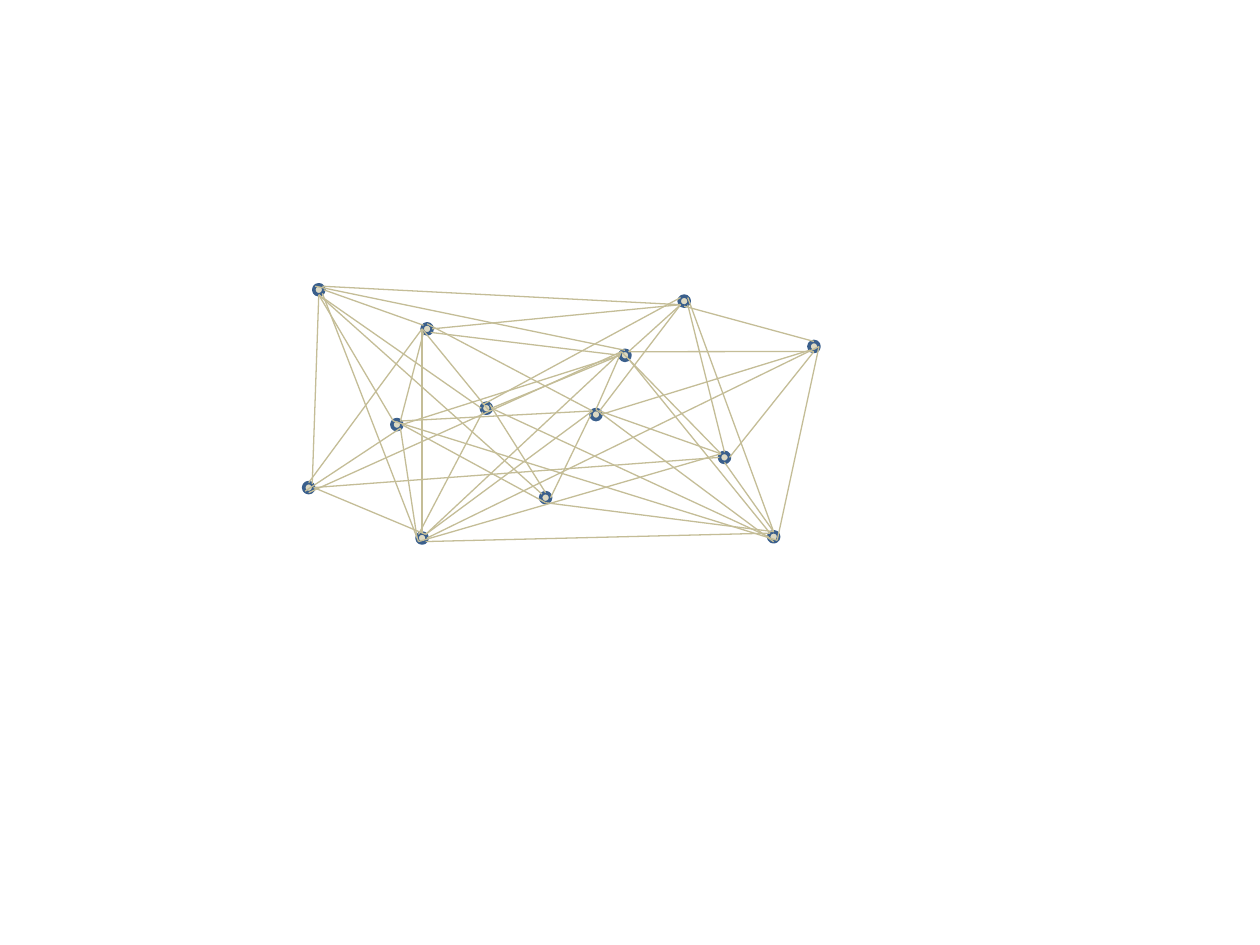
from dataclasses import dataclass
from math import cos, radians, sin

from lxml import etree
from pptx import Presentation
from pptx.dml.color import RGBColor
from pptx.enum.shapes import MSO_CONNECTOR, MSO_SHAPE
from pptx.oxml.ns import qn
from pptx.util import Inches, Pt

DOT = MSO_SHAPE.FLOWCHART_CONNECTOR
STRAIGHT = MSO_CONNECTOR.STRAIGHT
BLANK_LAYOUT = 6


@dataclass(frozen=True)
class Theme:
    node_fill: RGBColor = RGBColor.from_string("DDD9C3")
    node_line: RGBColor = RGBColor.from_string("3A5F8C")
    edge_line: RGBColor = RGBColor.from_string("C4BD97")
    node_width: float = 2
    edge_width: float = 0.75
    diameter: float = 0.08


THEME = Theme()

# Centre of each node, in inches
NODES = {
    "A": (3.39, 2.61), "B": (2.53, 2.30), "C": (2.45, 3.87),
    "D": (3.35, 4.27), "E": (4.73, 3.29), "F": (3.15, 3.37),
    "G": (4.33, 3.95), "H": (4.96, 2.82), "I": (3.86, 3.24),
    "J": (5.75, 3.63), "K": (5.43, 2.39), "L": (6.46, 2.75),
    "M": (6.14, 4.26),
}

# Compass points on a node's rim, clockwise from east
PORTS = {name: radians(45 * i)
         for i, name in enumerate("e se s sw w nw n ne".split())}

# Each edge joins two ends, written as node and compass point
EDGES = """
Be-Anw Ase-Hw Bs-Iw Ie-Hw Ae-Ksw Bse-Dsw Bs-Fnw Bs-Cne Csw-Fse
Cs-Hnw Fne-Enw Ge-Ew Bs-Gnw Fe-Hw Hne-Ksw Ee-Lsw Js-Mn Ce-Jw
Gs-Mn Dsw-Jnw Dse-Mnw Ce-Dne Mse-Le Jn-Kse Jnw-Hnw Ene-Jnw Je-Ls
Hne-Ls Ln-Ks Ise-Aw Hn-Bnw Ksw-Bne En-Hnw Dne-Hnw Ms-En Fe-Gs
Fse-Dw Fnw-Mse Isw-Dnw Aw-Dn Asw-Fne Aw-Cn Knw-Inw Ksw-Ene Ine-Gn
De-Le Dne-Enw An-Enw Kne-Mn Hse-Mnw Ie-Mw
""".split()


def add_node(s, x, y):
    d = THEME.diameter
    sp = s.shapes.add_shape(DOT, Inches(x - d / 2), Inches(y - d / 2),
                            Inches(d), Inches(d))
    sp.shadow.inherit = False
    sp.fill.solid()
    sp.fill.fore_color.rgb = THEME.node_fill
    sp.line.color.rgb = THEME.node_line
    sp.line.width = Pt(THEME.node_width)


def rim_point(end):
    """Return the slide position of an end such as 'Bse'."""
    x, y = NODES[end[0]]
    angle = PORTS[end[1:]]
    radius = THEME.diameter / 2
    return Inches(x + radius * cos(angle)), Inches(y + radius * sin(angle))


def add_edge(s, edge):
    start, end = edge.split("-")
    line = s.shapes.add_connector(STRAIGHT, *rim_point(start), *rim_point(end))
    line.line.color.rgb = THEME.edge_line
    line.line.width = Pt(THEME.edge_width)
    etree.SubElement(line._element.spPr, qn("a:effectLst"))


def main():
    prs = Presentation()
    prs.slide_width, prs.slide_height = Inches(10), Inches(7.5)
    s = prs.slides.add_slide(prs.slide_layouts[BLANK_LAYOUT])

    # Nodes lie behind the edges
    for x, y in NODES.values():
        add_node(s, x, y)
    for edge in EDGES:
        add_edge(s, edge)

    prs.save("out.pptx")


if __name__ == "__main__":
    main()
